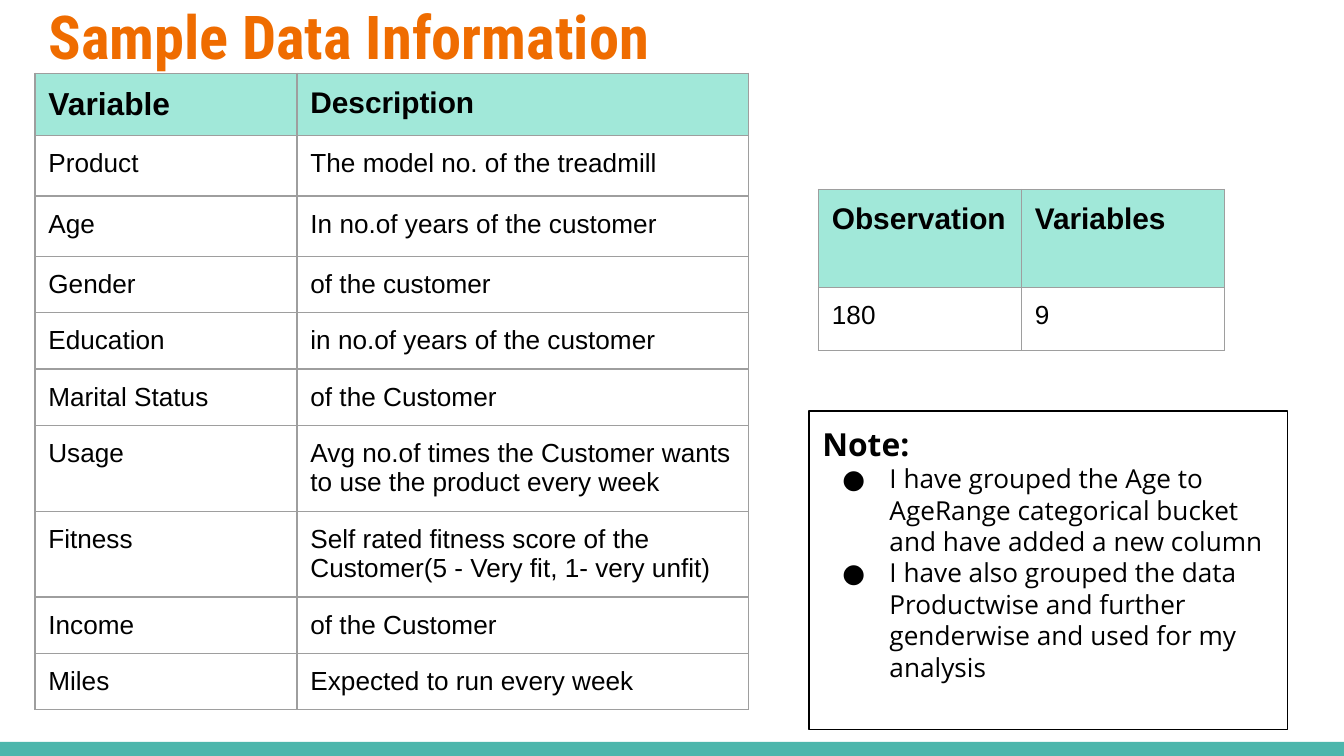
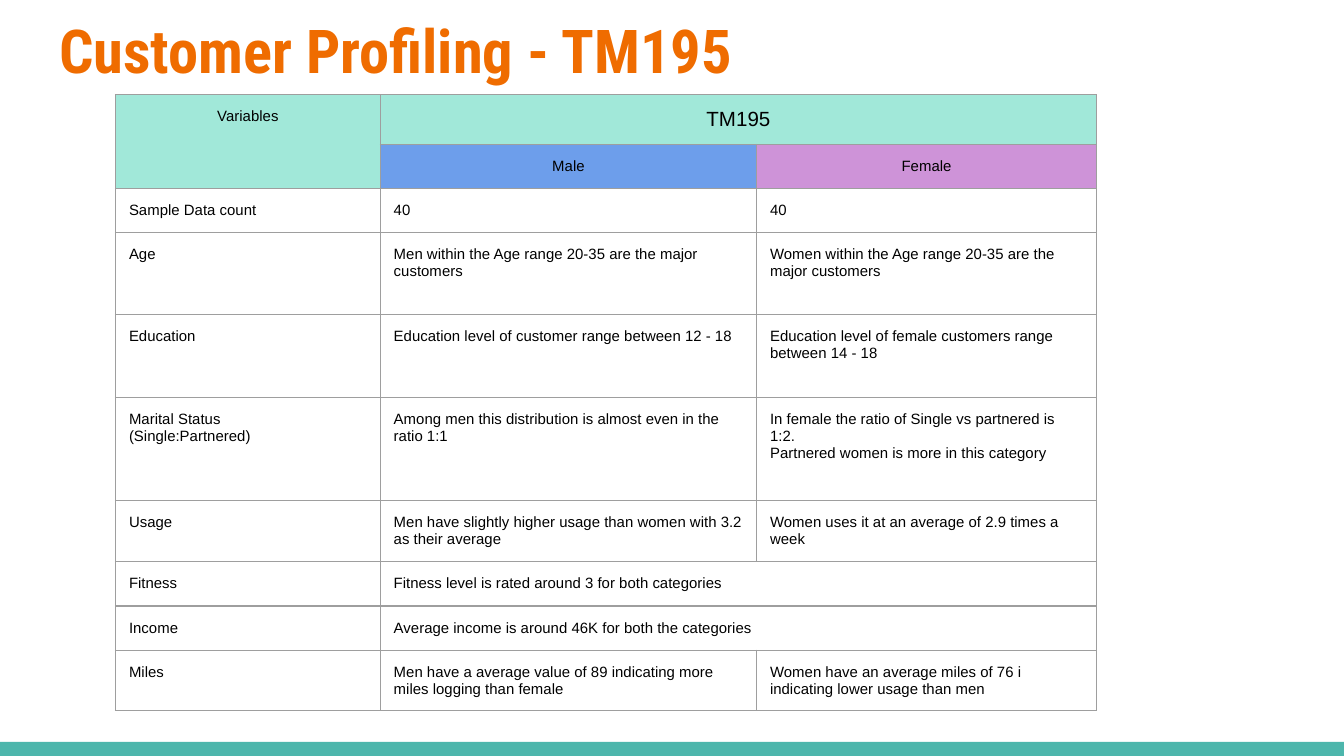
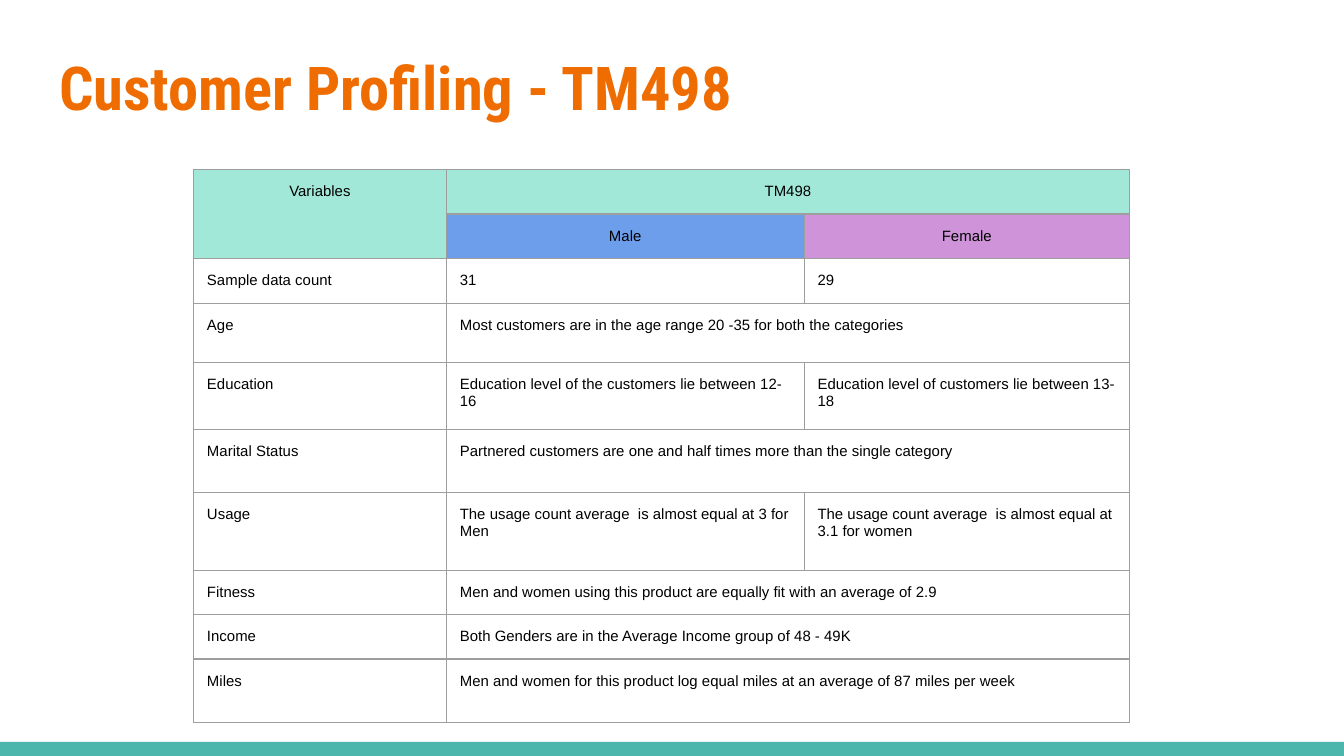
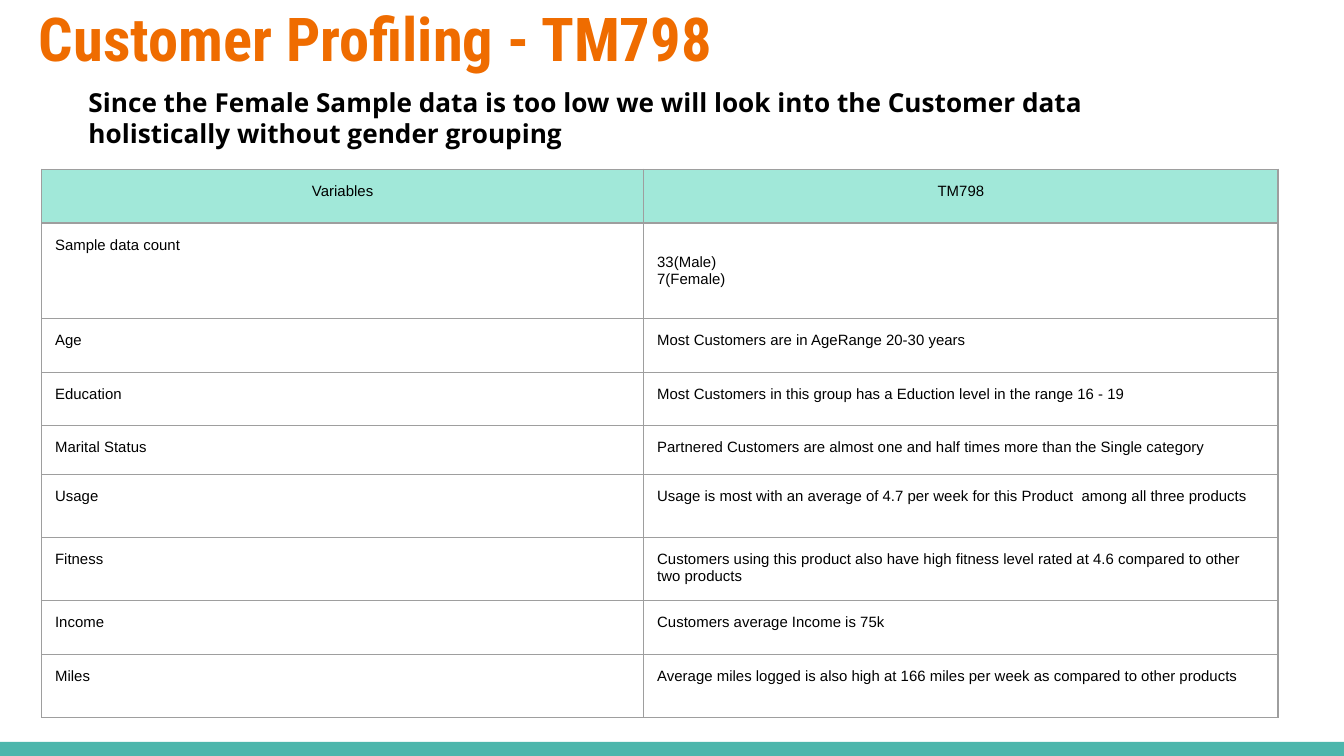
from lxml.etree import SubElement
from pptx import Presentation
from pptx.dml.color import RGBColor
from pptx.enum.shapes import MSO_SHAPE
from pptx.enum.text import MSO_ANCHOR, MSO_AUTO_SIZE, PP_ALIGN
from pptx.oxml.ns import qn
from pptx.util import Inches, Pt

COLORS = {
    "title": "EF6C00", "band": "4DB6AC", "head": "A1E8D9", "male": "6D9EEB",
    "female": "CE93D8", "grid": "9E9E9E", "text": "000000", "paper": "FFFFFF",
}
TITLE_FONT, TABLE_FONT, NOTE_FONT = "Roboto Condensed", "Arial", "Open Sans"
COLUMNS, ROWS = 100, 56.25  # the slide's grid, in squares of 0.1 inch
HEAD_FILLS = {"Male": "male", "Female": "female"}


def grid(n):
    return Inches(n / 10)


def color(name):
    return RGBColor.from_string(COLORS[name])


def add_run(p, text, font, size, bold=False, ink="text"):
    r = p.add_run()
    r.text = text
    r.font.name, r.font.size, r.font.bold = font, Pt(size), bold
    r.font.color.rgb = color(ink)


def set_insets(frame):
    """Give a text frame or a table cell the same margin on every side."""
    frame.margin_left = frame.margin_right = grid(1)
    frame.margin_top = frame.margin_bottom = grid(1)


def paragraphs(tf, count):
    return [tf.paragraphs[0]] + [tf.add_paragraph() for _ in range(count - 1)]


def add_band(prs, slide):
    """Draw the bottom band and move it to the master, behind every slide."""
    sp = slide.shapes.add_shape(MSO_SHAPE.RECTANGLE, 0, grid(55.2), grid(COLUMNS), grid(1.1))
    sp.shadow.inherit = False
    sp.fill.solid()
    sp.fill.fore_color.rgb = color("band")
    sp.line.fill.background()
    prs.slide_master.shapes._spTree.append(sp._element)


def add_titled_slide(prs, text, left, top, height=7.7):
    slide = prs.slides.add_slide(prs.slide_layouts[5])
    title = slide.shapes.title
    title.left, title.top = grid(left), grid(top)
    title.width, title.height = grid(93.2), grid(height)
    tf = title.text_frame
    set_insets(tf)
    tf.word_wrap, tf.auto_size = True, MSO_AUTO_SIZE.NONE
    tf.vertical_anchor = MSO_ANCHOR.TOP
    p = tf.paragraphs[0]
    p.alignment = PP_ALIGN.LEFT
    add_run(p, text, TITLE_FONT, 32.4, True, "title")
    return slide


def outline_cell(cell):
    tc_pr = cell._tc.get_or_add_tcPr()
    for i, side in enumerate(("a:lnL", "a:lnR", "a:lnT", "a:lnB")):
        ln = tc_pr.makeelement(qn(side), {"w": str(Pt(0.75))})
        fill = SubElement(ln, qn("a:solidFill"))
        SubElement(fill, qn("a:srgbClr"), val=COLORS["grid"])
        tc_pr.insert(i, ln)


def fill_cell(cell, text, size, fill, bold, align):
    set_insets(cell)
    cell.fill.solid()
    cell.fill.fore_color.rgb = color(fill)
    outline_cell(cell)
    if text is None:
        return
    lines = text.split("\n")
    for p, line in zip(paragraphs(cell.text_frame, len(lines)), lines):
        p.alignment = align
        add_run(p, line, TABLE_FONT, size, bold)


def add_table(slide, box, widths, heights, texts, size, heads=1, head_sizes=None,
              head_bold=False, head_align=PP_ALIGN.CENTER):
    """Share the box among columns and rows; None joins a cell to its left or upper one."""
    left, top, width, height = box
    frame = slide.shapes.add_table(len(heights), len(widths), *map(grid, box))
    table = frame.table
    table.first_row = table.horz_banding = False
    for column, share in zip(table.columns, widths):
        column.width = grid(width * share / sum(widths))
    for row, share in zip(table.rows, heights):
        row.height = grid(height * share / sum(heights))
    for r, line in enumerate(texts):
        for c, text in enumerate(line):
            cell = table.cell(r, c)
            if r < heads:
                fill_cell(cell, text, (head_sizes or {}).get(text, size),
                          HEAD_FILLS.get(text, "head"), head_bold, head_align)
            else:
                fill_cell(cell, text, size, "paper", False, PP_ALIGN.LEFT)
            if text is None:
                start = table.cell(r, c - 1) if c else table.cell(r - 1, c)
                start.merge(cell)
    return table


def add_bullet(p):
    p_pr = p._p.get_or_add_pPr()
    p_pr.set("marL", str(grid(5)))
    p_pr.set("indent", str(grid(-3.5)))
    SubElement(SubElement(p_pr, qn("a:buClr")), qn("a:srgbClr"), val=COLORS["text"])
    SubElement(p_pr, qn("a:buSzPts"), val="1400")
    SubElement(p_pr, qn("a:buFont"), typeface=NOTE_FONT)
    SubElement(p_pr, qn("a:buChar"), char="●")


def add_note(slide, box, heading, points):
    sp = slide.shapes.add_shape(MSO_SHAPE.RECTANGLE, *map(grid, box))
    sp.shadow.inherit = False
    sp.fill.background()
    sp.line.color.rgb, sp.line.width = color("text"), Pt(0.75)
    tf = sp.text_frame
    set_insets(tf)
    tf.word_wrap, tf.vertical_anchor = True, MSO_ANCHOR.TOP
    first, *rest = paragraphs(tf, 1 + len(points))
    first.alignment = PP_ALIGN.LEFT
    add_run(first, heading, NOTE_FONT, 17, True)
    for p, point in zip(rest, points):
        p.alignment = PP_ALIGN.LEFT
        add_bullet(p)
        add_run(p, point, NOTE_FONT, 14)


def add_remark(slide, box, text):
    tf = slide.shapes.add_textbox(*map(grid, box)).text_frame
    set_insets(tf)
    tf.word_wrap = True
    add_run(tf.paragraphs[0], text, NOTE_FONT, 14, True)


def data_slide(prs):
    slide = add_titled_slide(prs, "Sample Data Information", 2.6, -1.1)
    add_band(prs, slide)
    bold_heads = {"head_bold": True, "head_align": PP_ALIGN.LEFT,
                  "head_sizes": {"Variable": 17, "Description": 16,
                                 "Observation": 16, "Variables": 16}}
    add_table(slide, (2.6, 5.45, 53.1, 47.3), (19.5, 33.6),
              (4.6, 4.5, 4.5, 4.2, 4.2, 4.2, 6.4, 6.4, 4.2, 4.2), [
                  ("Variable", "Description"),
                  ("Product", "The model no. of the treadmill"),
                  ("Age", "In no.of years of the customer"),
                  ("Gender", "of the customer"),
                  ("Education", "in no.of years of the customer"),
                  ("Marital Status", "of the Customer"),
                  ("Usage", "Avg no.of times the Customer wants to use the product every week"),
                  ("Fitness",
                   "Self rated fitness score of the Customer(5 - Very fit, 1- very unfit)"),
                  ("Income", "of the Customer"),
                  ("Miles", "Expected to run every week"),
              ], 14, **bold_heads)
    add_table(slide, (60.9, 14.1, 30.2, 12), (1, 1), (7.3, 4.7),
              [("Observation", "Variables"), ("180", "9")], 14, **bold_heads)
    add_note(slide, (60.2, 30.6, 35.6, 23.7), "Note:", (
        "I have grouped the Age to AgeRange categorical bucket and have added a new column",
        "I have also grouped the data Productwise and further genderwise and used for my analysis",
    ))


def gender_slide(prs, model, title_top, box, widths, heights, rows, head_sizes=None):
    """Profile one model with a column for men and one for women."""
    slide = add_titled_slide(prs, f"Customer Profiling - {model}", 3.4, title_top)
    heads = [("Variables", model, None), (None, "Male", "Female")]
    add_table(slide, box, widths, heights, heads + rows, 8, 2, head_sizes)


def tm195_slide(prs):
    gender_slide(
        prs, "TM195", 0, (8.6, 7.05, 73, 45.8), (19.7, 28, 25.3),
        (3.7, 3.3, 3.3, 6.1, 6.2, 7.7, 4.6, 3.3, 3.3, 4.5), [
            ("Sample Data count", "40", "40"),
            ("Age", "Men within the Age range 20-35 are the major customers",
             "Women within the Age range 20-35 are the major customers"),
            ("Education", "Education level of customer range between 12 - 18",
             "Education level of female customers range between 14 - 18"),
            ("Marital Status\n(Single:Partnered)",
             "Among men this distribution is almost even in the ratio 1:1",
             "In female the ratio of Single vs partnered is 1:2.\n"
             "Partnered women is more in this category"),
            ("Usage", "Men have slightly higher usage than women with 3.2 as their average",
             "Women uses it at an average of 2.9 times a week"),
            ("Fitness", "Fitness level is rated around 3 for both categories", None),
            ("Income", "Average income is around 46K for both the categories", None),
            ("Miles", "Men have a average value of 89 indicating more miles logging than female",
             "Women have an average miles of 76 i indicating lower usage than men"),
        ], {"TM195": 11})


def tm498_slide(prs):
    gender_slide(
        prs, "TM498", 2.7, (14.4, 12.6, 69.65, 41.15), (18.8, 26.6, 24.2),
        (3.33, 3.33, 3.3, 4.4, 5, 4.65, 5.8, 3.3, 3.3, 4.7), [
            ("Sample data count", "31", "29"),
            ("Age", "Most customers are in the age range 20 -35 for both the categories", None),
            ("Education", "Education level of the customers lie between 12-16",
             "Education level of customers lie between 13-18"),
            ("Marital Status",
             "Partnered customers are one and half times more than the single category", None),
            ("Usage", "The usage count average  is almost equal at 3 for Men",
             "The usage count average  is almost equal at 3.1 for women"),
            ("Fitness",
             "Men and women using this product are equally fit with an average of 2.9", None),
            ("Income", "Both Genders are in the Average Income group of 48 - 49K", None),
            ("Miles",
             "Men and women for this product log equal miles at an average of 87 miles per week",
             None),
        ])


def tm798_slide(prs):
    slide = add_titled_slide(prs, "Customer Profiling - TM798", 1.9, -0.9, 5.8)
    table = add_table(
        slide, (3.1, 12.6, 92, 40.8), (44.8, 47.2),
        (4, 7.1, 4, 4, 3.6, 4.7, 4.7, 4, 4.7), [
            ("Variables", "TM798"),
            ("Sample data count", "33(Male)\n7(Female)"),
            ("Age", "Most Customers are in AgeRange 20-30 years"),
            ("Education", "Most Customers in this group has a Eduction level in the range 16 - 19"),
            ("Marital Status",
             "Partnered Customers are almost one and half times more than the Single category"),
            ("Usage", "Usage is most with an average of 4.7 per week for this Product"
                      "  among all three products"),
            ("Fitness", "Customers using this product also have high fitness level rated at 4.6"
                        " compared to other two products"),
            ("Income", "Customers average Income is 75k"),
            ("Miles", "Average miles logged is also high at 166 miles per week"
                      " as compared to other products"),
        ], 8)
    table.cell(1, 1).vertical_anchor = MSO_ANCHOR.MIDDLE
    add_remark(slide, (5.6, 5.4, 85.8, 6.7),
               "Since the Female Sample data is too low we will look into the Customer data"
               " holistically without gender grouping")


def main():
    prs = Presentation()
    prs.slide_width, prs.slide_height = grid(COLUMNS), grid(ROWS)
    for build in (data_slide, tm195_slide, tm498_slide, tm798_slide):
        build(prs)
    prs.save("out.pptx")


if __name__ == "__main__":
    main()
